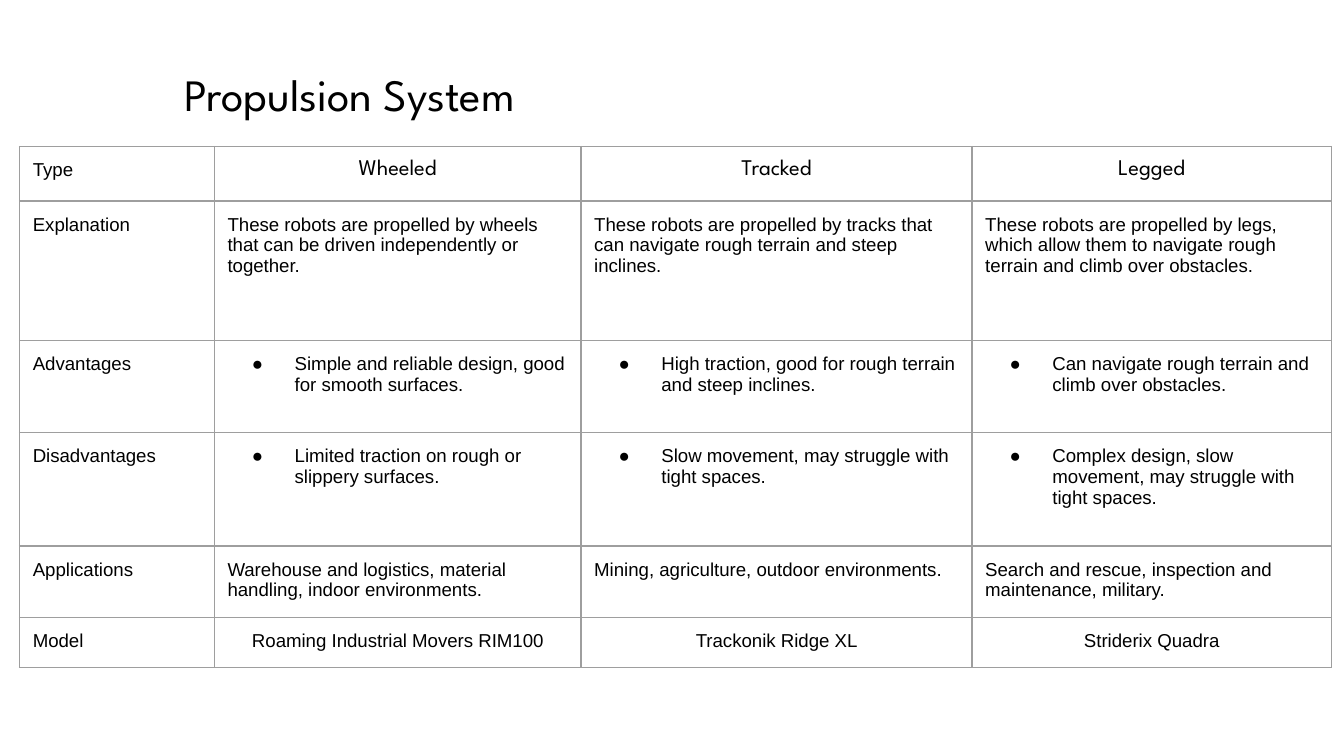
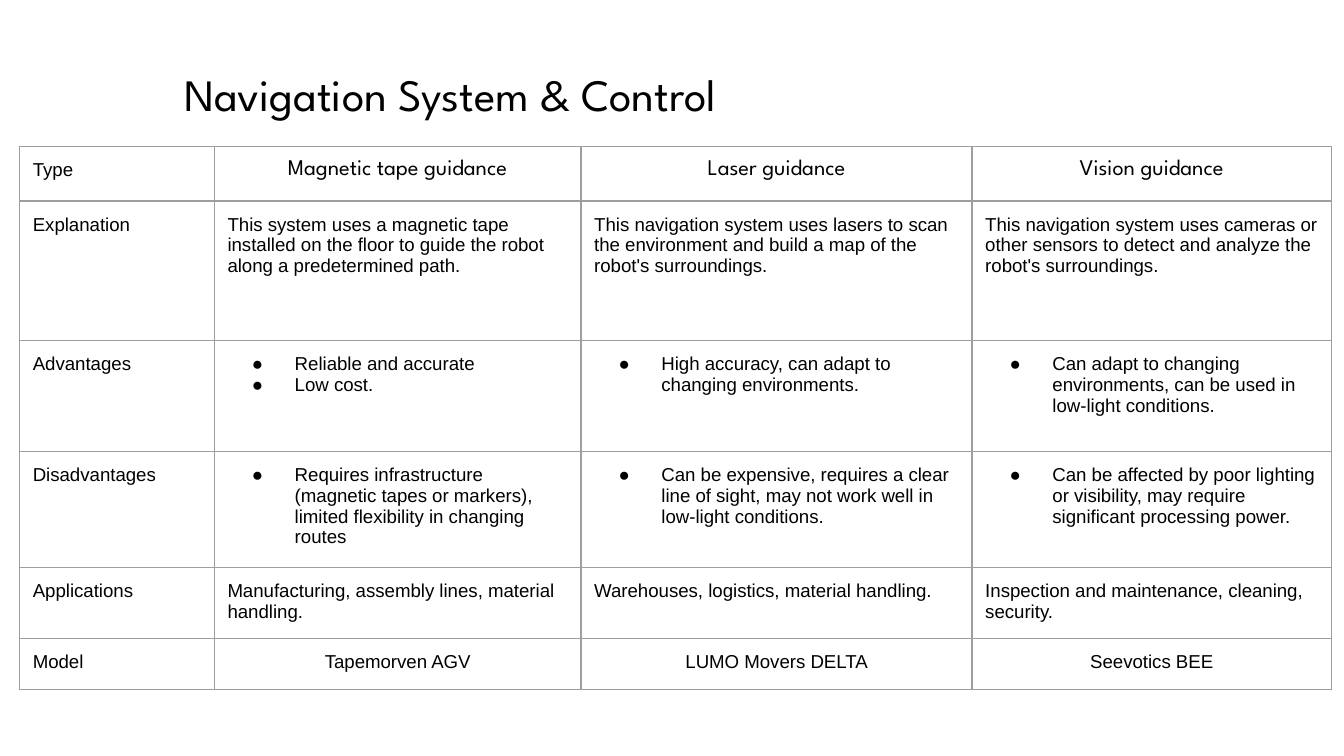
from lxml import etree
from pptx import Presentation
from pptx.dml.color import RGBColor
from pptx.enum import text
from pptx.oxml import ns
from pptx.util import Cm, Pt

BLACK = RGBColor(0x00, 0x00, 0x00)
WHITE = RGBColor(0xFF, 0xFF, 0xFF)
GRID_GREY = RGBColor(0x9E, 0x9E, 0x9E)
HEADING_FONT, BODY_FONT = "League Spartan", "Arial"

ROW_LABELS = ["Type", "Explanation", "Advantages", "Disadvantages", "Applications", "Model"]
CENTRED_ROWS = {"Type", "Model"}
BULLET_ROWS = {"Advantages", "Disadvantages"}
COLUMN_WIDTHS = [3.68, 6.93, 7.39, 6.79]
ROW_HEIGHTS = [1.03, 2.64, 1.74, 2.14, 1.12, 0.95]
MARGIN = Cm(0.25)

# Each option lists its entries in the order of ROW_LABELS; a line break starts a new bullet.
COMPARISONS = [
    {
        "title": "Propulsion System",
        "heights": {},
        "options": [
            ["Wheeled",
             "These robots are propelled by wheels that can be driven independently or together.",
             "Simple and reliable design, good for smooth surfaces.",
             "Limited traction on rough or slippery surfaces.",
             "Warehouse and logistics, material handling, indoor environments.",
             "Roaming Industrial Movers RIM100"],
            ["Tracked",
             "These robots are propelled by tracks that can navigate rough terrain and steep inclines.",
             "High traction, good for rough terrain and steep inclines.",
             "Slow movement, may struggle with tight spaces.",
             "Mining, agriculture, outdoor environments.",
             "Trackonik Ridge XL"],
            ["Legged",
             "These robots are propelled by legs, which allow them to navigate rough terrain "
             "and climb over obstacles.",
             "Can navigate rough terrain and climb over obstacles.",
             "Complex design, slow movement, may struggle with tight spaces.",
             "Search and rescue, inspection and maintenance, military.",
             "Striderix Quadra"],
        ],
    },
    {
        "title": "Navigation System & Control",
        "heights": {"Advantages": 2.09},
        "options": [
            ["Magnetic tape guidance",
             "This system uses a magnetic tape installed on the floor to guide the robot "
             "along a predetermined path.",
             "Reliable and accurate\nLow cost.",
             "Requires infrastructure (magnetic tapes or markers), limited flexibility "
             "in changing routes",
             "Manufacturing, assembly lines, material handling.",
             "Tapemorven AGV"],
            ["Laser guidance",
             "This navigation system uses lasers to scan the environment and build a map "
             "of the robot's surroundings.",
             "High accuracy, can adapt to changing environments.",
             "Can be expensive, requires a clear line of sight, may not work well "
             "in low-light conditions.",
             "Warehouses, logistics, material handling.",
             "LUMO Movers DELTA"],
            ["Vision guidance",
             "This navigation system uses cameras or other sensors to detect and analyze "
             "the robot's surroundings.",
             "Can adapt to changing environments, can be used in low-light conditions.",
             "Can be affected by poor lighting or visibility, may require significant "
             "processing power.",
             "Inspection and maintenance, cleaning, security.",
             "Seevotics BEE"],
        ],
    },
]


def add_element(parent, tag, **attributes):
    return etree.SubElement(parent, ns.qn(tag), attributes)


def add_color(parent, color):
    add_element(parent, "a:srgbClr", val=str(color))


def write(para, words, font, size):
    span = para.add_run()
    span.text = words
    span.font.name = font
    span.font.size = Pt(size)
    span.font.color.rgb = BLACK


def set_margins(holder):
    holder.margin_left = holder.margin_right = MARGIN
    holder.margin_top = holder.margin_bottom = MARGIN


def add_bullet(para):
    properties = para._p.get_or_add_pPr()
    properties.set("marL", str(Cm(1.27)))
    properties.set("indent", str(Cm(-0.81)))
    add_color(add_element(properties, "a:buClr"), BLACK)
    add_element(properties, "a:buFont", typeface=BODY_FONT)
    add_element(properties, "a:buChar", char="●")


def add_borders(cell):
    properties = cell._tc.get_or_add_tcPr()
    for side in ("a:lnL", "a:lnR", "a:lnT", "a:lnB"):
        line = add_element(properties, side, w=str(Pt(0.75)))
        add_color(add_element(line, "a:solidFill"), GRID_GREY)


def fill_cell(cell, words, label, is_label):
    set_margins(cell)
    add_borders(cell)
    cell.fill.background()
    is_heading = label == "Type" and not is_label
    font, size = (HEADING_FONT, 12) if is_heading else (BODY_FONT, 10)
    for index, line in enumerate(words.split("\n")):
        frame = cell.text_frame
        para = frame.add_paragraph() if index else frame.paragraphs[0]
        if not is_label and label in BULLET_ROWS:
            add_bullet(para)
        if not is_label and label in CENTRED_ROWS:
            para.alignment = text.PP_ALIGN.CENTER
        write(para, line, font, size)


def add_title(page, words):
    box = page.shapes.add_textbox(Cm(3.23), Cm(0.76), Cm(14.02), Cm(2.01))
    frame = box.text_frame
    frame.word_wrap = True
    frame.vertical_anchor = text.MSO_ANCHOR.MIDDLE
    set_margins(frame)
    write(frame.paragraphs[0], words, HEADING_FONT, 24)


def add_comparison_table(page, options, heights):
    columns = [ROW_LABELS] + options
    row_heights = [heights.get(label, height) for label, height in zip(ROW_LABELS, ROW_HEIGHTS)]
    table = page.shapes.add_table(
        len(ROW_LABELS), len(columns), Cm(0.37), Cm(2.77),
        Cm(sum(COLUMN_WIDTHS)), Cm(sum(row_heights))).table
    table.first_row = table.horz_banding = False
    for row, height in zip(table.rows, row_heights):
        row.height = Cm(height)
    for column, (entries, width) in enumerate(zip(columns, COLUMN_WIDTHS)):
        table.columns[column].width = Cm(width)
        for row, (label, words) in enumerate(zip(ROW_LABELS, entries)):
            fill_cell(table.cell(row, column), words, label, column == 0)


def main():
    deck = Presentation()
    deck.slide_width, deck.slide_height = Cm(25.4), Cm(14.29)
    for comparison in COMPARISONS:
        page = deck.slides.add_slide(deck.slide_layouts[6])
        page.background.fill.solid()
        page.background.fill.fore_color.rgb = WHITE
        add_title(page, comparison["title"])
        add_comparison_table(page, comparison["options"], comparison["heights"])
    deck.save("out.pptx")


if __name__ == "__main__":
    main()
